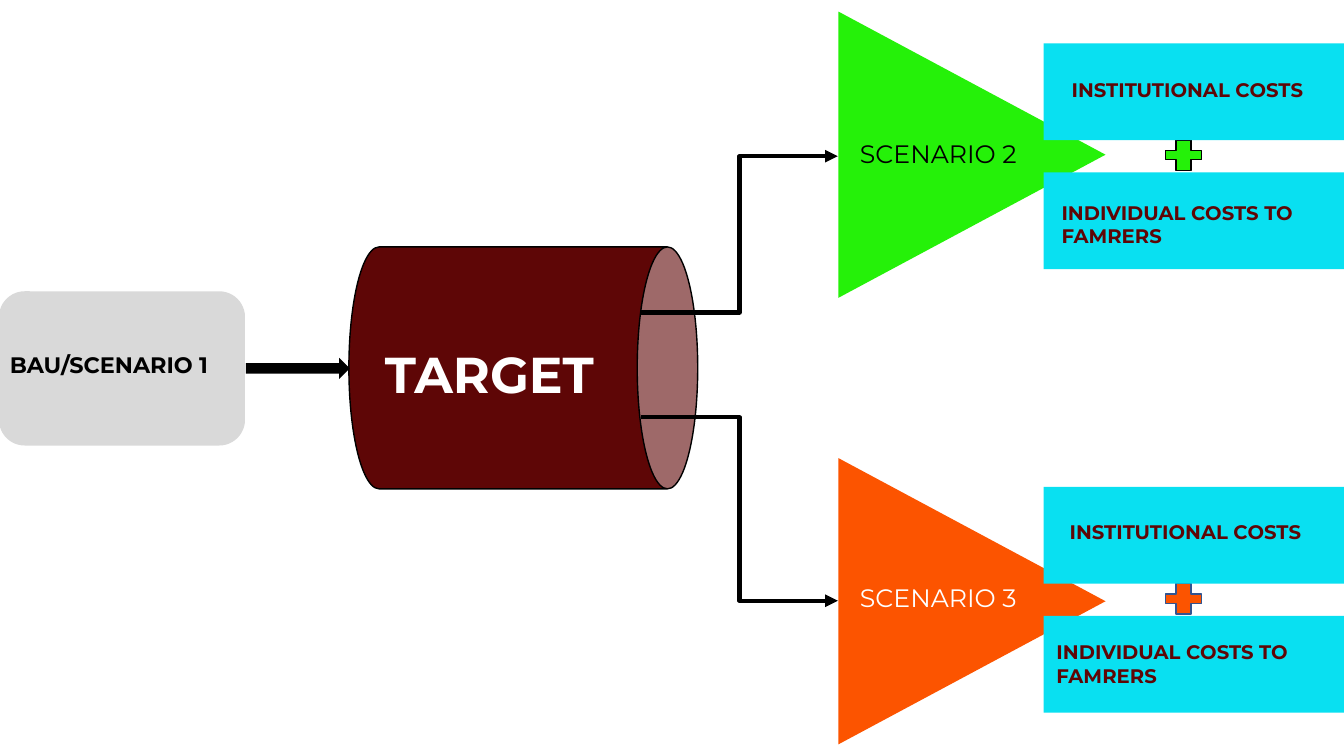
from lxml.etree import SubElement
from pptx import Presentation
from pptx.dml.color import RGBColor
from pptx.enum.shapes import MSO_CONNECTOR, MSO_SHAPE
from pptx.oxml.ns import qn
from pptx.util import Inches, Pt

FONT = "Montserrat"
BLACK, WHITE, MAROON = "000000", "FFFFFF", "5E0606"
GREY, CYAN = "D9D9D9", "09E0F1"

# Lengths in inches; label places are (left, top, width, height)
BASELINE = ("BAU/SCENARIO 1", (0, 3.43, 2.44, 0.37))
TARGET = ("TARGET", (3.72, 3.35, 2.53, 0.71))
INSTITUTIONAL = "INSTITUTIONAL COSTS"
INDIVIDUAL = "INDIVIDUAL COSTS TO FAMRERS"
SCENARIOS = [
    {"name": "SCENARIO 2", "color": "25F109", "ink": BLACK, "plus_line": BLACK,
     "triangle_top": 0.21, "costs_top": 0.43, "branch": (3.1, 1.55), "name_top": 1.32,
     "costs": [(INSTITUTIONAL, (10.53, 0.72, 2.76, 0.34)),
               (INDIVIDUAL, (10.43, 1.94, 2.99, 0.57))]},
    {"name": "SCENARIO 3", "color": "FC5400", "ink": WHITE, "plus_line": "325491",
     "triangle_top": 4.64, "costs_top": 4.83, "branch": (4.14, 5.96), "name_top": 5.73,
     "costs": [(INSTITUTIONAL, (10.51, 5.11, 2.78, 0.34)),
               (INDIVIDUAL, (10.38, 6.3, 2.91, 0.57))]},
]
COST_LEFT, COST_WIDTH, COST_HEIGHT, COST_PITCH = 10.35, 2.98, 0.96, 1.28
PLUS_LEFT, PLUS_WIDTH, PLUS_HEIGHT = 11.56, 0.36, 0.3
BRANCH_START, BRANCH_END = 6.36, 8.31


def rgb(color):
    """Turn a hex string into a colour."""
    return RGBColor.from_string(color)


def add_block(kind, place, color, outline=None, rotation=0):
    """Add a filled preset shape, outlined only if a colour is given."""
    block = slide.shapes.add_shape(kind, *map(Inches, place))
    block.shadow.inherit = False
    block.rotation = rotation
    block.fill.solid()
    block.fill.fore_color.rgb = rgb(color)
    if outline:
        block.line.color.rgb = rgb(outline)
        block.line.width = Pt(1)
    else:
        block.line.fill.background()
    return block


def add_label(words, place, size, color, bold=True):
    """Add a wrapping text box with one run of text."""
    label = slide.shapes.add_textbox(*map(Inches, place))
    label.text_frame.word_wrap = True
    run = label.text_frame.paragraphs[0].add_run()
    run.text = words
    for key, value in {"name": FONT, "size": Pt(size), "bold": bold}.items():
        setattr(run.font, key, value)
    run.font.color.rgb = rgb(color)


def add_branch(start_y, end_y):
    """Add an elbow arrow from the target to a scenario."""
    branch = slide.shapes.add_connector(
        MSO_CONNECTOR.ELBOW, Inches(BRANCH_START), Inches(start_y),
        Inches(BRANCH_END), Inches(end_y))
    branch.line.color.rgb = rgb(BLACK)
    branch.line.width = Pt(3)
    SubElement(branch.line._get_or_add_ln(), qn("a:tailEnd"), type="triangle")
    SubElement(branch._element.spPr, qn("a:effectLst"))


deck = Presentation()
deck.slide_width, deck.slide_height = Inches(13.33), Inches(7.5)
slide = deck.slides.add_slide(deck.slide_layouts[6])

add_block(MSO_SHAPE.CAN, (3.99, 1.92, 2.4, 3.46), MAROON, BLACK, 90)
add_block(MSO_SHAPE.ROUNDED_RECTANGLE, (-0.01, 2.89, 2.44, 1.53), GREY)
add_block(MSO_SHAPE.RIGHT_ARROW, (2.44, 3.55, 1.03, 0.21), BLACK)
add_label(*BASELINE, 16, BLACK)
add_label(*TARGET, 36, WHITE)

for scenario in SCENARIOS:
    color, costs_top = scenario["color"], scenario["costs_top"]
    add_block(MSO_SHAPE.ISOSCELES_TRIANGLE,
              (8.22, scenario["triangle_top"], 2.84, 2.65), color, rotation=90)
    add_branch(*scenario["branch"])
    plus = add_block(MSO_SHAPE.CROSS,
                     (PLUS_LEFT, costs_top + COST_HEIGHT, PLUS_WIDTH, PLUS_HEIGHT),
                     color, scenario["plus_line"])
    plus.adjustments[0] = 0.35
    add_label(scenario["name"], (8.43, scenario["name_top"], 2.12, 0.4),
              18, scenario["ink"], bold=False)
    for row, (cost, place) in enumerate(scenario["costs"]):
        add_block(MSO_SHAPE.RECTANGLE,
                  (COST_LEFT, costs_top + row * COST_PITCH, COST_WIDTH, COST_HEIGHT), CYAN)
        add_label(cost, place, 14, MAROON)

deck.save("out.pptx")
